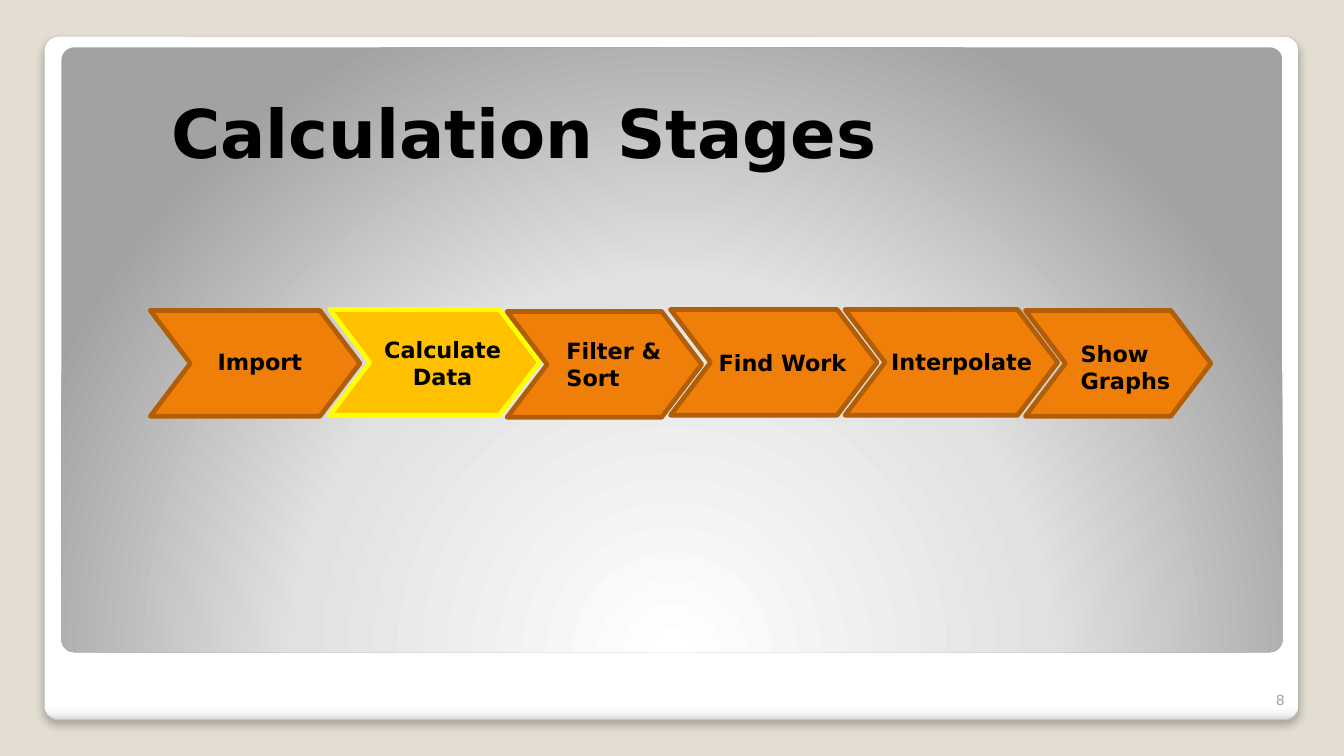
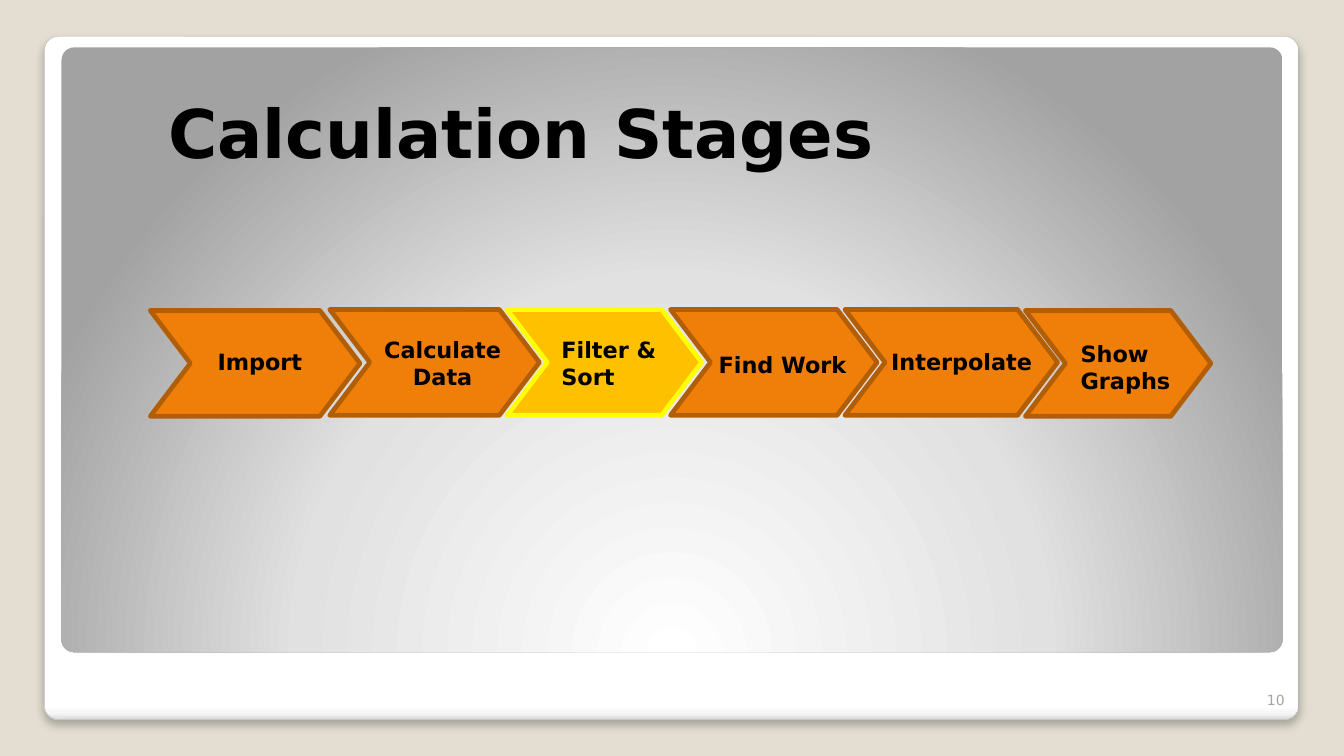
import dataclasses
import typing

import lxml.etree
import pptx
import pptx.dml.color
import pptx.enum.shapes
import pptx.enum.text
import pptx.oxml
import pptx.oxml.ns
import pptx.slide
import pptx.shapes.autoshape
import pptx.text.text
import pptx.util

Inches = pptx.util.Inches
Pt = pptx.util.Pt
RGBColor = pptx.dml.color.RGBColor
Align = pptx.enum.text.PP_ALIGN
Anchor = pptx.enum.text.MSO_ANCHOR
Shape = pptx.enum.shapes.MSO_SHAPE

FONT = "DejaVu Sans"
BACKGROUND = RGBColor(0xE3, 0xDE, 0xD1)
FRAME_LINE = RGBColor(0xA4, 0xA4, 0xA4)
BLACK = RGBColor(0x00, 0x00, 0x00)
WHITE = RGBColor(0xFF, 0xFF, 0xFF)
NUMBER_GREY = RGBColor(0xA8, 0xA4, 0x9B)
ORANGE = RGBColor(0xF0, 0x7F, 0x09)
DARK_ORANGE = RGBColor(0xB2, 0x5E, 0x07)
GOLD = RGBColor(0xFF, 0xC0, 0x00)
YELLOW = RGBColor(0xFF, 0xFF, 0x00)
FRAME_STOPS = (
    (0, WHITE),
    (98, WHITE),
    (99, RGBColor(0xF7, 0xF7, 0xF7)),
    (100, RGBColor(0xDA, 0xDA, 0xDA)),
)
PANEL_STOPS = (
    (0, WHITE),
    (55, RGBColor(0xE1, 0xE1, 0xE1)),
    (100, RGBColor(0xA2, 0xA2, 0xA2)),
)
FRAME_DIRECTION = '<a:lin ang="5400000" scaled="0"/>'
PANEL_DIRECTION = (
    '<a:path path="circle"><a:fillToRect l="50000" t="175000" r="50000" b="-75000"/></a:path>'
)


class Box(typing.NamedTuple):
    left: float
    top: float
    width: float
    height: float

    def lengths(self) -> tuple[int, ...]:
        return tuple(Inches(value) for value in self)


@dataclasses.dataclass(frozen=True)
class TextStyle:
    size: float
    color: RGBColor = BLACK
    bold: bool = True
    alignment: Align = Align.LEFT
    anchor: Anchor = Anchor.TOP


@dataclasses.dataclass(frozen=True)
class Stage:
    lines: tuple[str, ...]
    chevron: Box
    label: Box
    alignment: Align = Align.LEFT


@dataclasses.dataclass(frozen=True)
class StageSlide:
    number: int
    active: str
    title_left: float
    stages: dict[str, Stage]


TITLE_STYLE = TextStyle(48, alignment=Align.CENTER)
NUMBER_STYLE = TextStyle(10, NUMBER_GREY, False, Align.RIGHT, Anchor.BOTTOM)

STAGES = {
    "work": Stage(("Find Work",), Box(6.65, 3.07, 2.05, 1.05), Box(7.03, 3.41, 1.89, 0.37)),
    "interpolate": Stage(
        ("Interpolate",), Box(8.38, 3.07, 2.11, 1.05), Box(8.74, 3.4, 1.89, 0.37)
    ),
    "graphs": Stage(("Show Graphs",), Box(10.17, 3.08, 1.84, 1.05), Box(10.62, 3.33, 1.33, 0.64)),
    "import": Stage(("Import",), Box(1.49, 3.08, 2.08, 1.05), Box(2.06, 3.4, 1.34, 0.37)),
    "calculate": Stage(
        ("Calculate", "Data"),
        Box(3.27, 3.07, 2.08, 1.05),
        Box(3.5, 3.29, 1.78, 0.64),
        Align.CENTER,
    ),
    "filter": Stage(("Filter & Sort",), Box(5.03, 3.09, 1.93, 1.05), Box(5.52, 3.3, 1.23, 0.64)),
}
FILTER_STAGES = STAGES | {
    "work": dataclasses.replace(STAGES["work"], label=Box(7.03, 3.43, 1.89, 0.37)),
    "filter": dataclasses.replace(
        STAGES["filter"],
        chevron=Box(5.03, 3.07, 1.93, 1.05),
        label=Box(5.47, 3.29, 1.23, 0.64),
    ),
}
SLIDES = (
    StageSlide(8, "calculate", 1.4, STAGES),
    StageSlide(10, "filter", 1.37, FILTER_STAGES),
)


def parse_drawing(tag: str, attributes: str, content: str) -> lxml.etree._Element:
    namespace = pptx.oxml.ns.nsdecls("a")
    return pptx.oxml.parse_xml(f"<a:{tag} {namespace} {attributes}>{content}</a:{tag}>")


def add_plain_shape(
    slide: pptx.slide.Slide, kind: Shape, box: Box, adjustment: float
) -> pptx.shapes.autoshape.Shape:
    shape = slide.shapes.add_shape(kind, *box.lengths())
    shape.adjustments[0] = adjustment
    shape.shadow.inherit = False
    return shape


def add_gradient_panel(
    slide: pptx.slide.Slide,
    box: Box,
    stops: tuple[tuple[int, RGBColor], ...],
    direction: str,
) -> pptx.shapes.autoshape.Shape:
    shape = add_plain_shape(slide, Shape.ROUNDED_RECTANGLE, box, 0.021)
    stop_list = "".join(
        f'<a:gs pos="{position * 1000}"><a:srgbClr val="{color}"/></a:gs>'
        for position, color in stops
    )
    gradient = parse_drawing(
        "gradFill", 'rotWithShape="1"', f"<a:gsLst>{stop_list}</a:gsLst>{direction}"
    )
    shape.element.spPr.insert(2, gradient)
    shape.line.fill.background()
    return shape


def add_backdrop(slide: pptx.slide.Slide) -> None:
    frame = add_gradient_panel(slide, Box(0.44, 0.36, 12.44, 6.78), FRAME_STOPS, FRAME_DIRECTION)
    frame.line.color.rgb = FRAME_LINE
    frame.line.width = Pt(0.16)
    shadow = parse_drawing(
        "outerShdw",
        f'blurRad="{Pt(6)}" dist="{Pt(4)}" dir="5400000" algn="t" rotWithShape="0"',
        f'<a:srgbClr val="{BLACK}"><a:alpha val="25000"/></a:srgbClr>',
    )
    frame.element.spPr.find(pptx.oxml.ns.qn("a:effectLst")).append(shadow)
    add_gradient_panel(slide, Box(0.61, 0.47, 12.11, 6), PANEL_STOPS, PANEL_DIRECTION)


def add_text(
    slide: pptx.slide.Slide, box: Box, lines: tuple[str, ...], style: TextStyle
) -> None:
    frame = slide.shapes.add_textbox(*box.lengths()).text_frame
    frame.word_wrap = True
    frame.vertical_anchor = style.anchor
    frame.text = "\n".join(lines)
    for paragraph in frame.paragraphs:
        paragraph.alignment = style.alignment
        paragraph.font.name = FONT
        paragraph.font.size = Pt(style.size)
        paragraph.font.bold = style.bold
        paragraph.font.color.rgb = style.color


def add_stage(slide: pptx.slide.Slide, stage: Stage, active: bool) -> None:
    chevron = add_plain_shape(slide, Shape.CHEVRON, stage.chevron, 0.379)
    chevron.fill.solid()
    chevron.fill.fore_color.rgb = GOLD if active else ORANGE
    chevron.line.color.rgb = YELLOW if active else DARK_ORANGE
    chevron.line.width = Pt(3.35)
    add_text(slide, stage.label, stage.lines, TextStyle(16, alignment=stage.alignment))


def build_slide(presentation: pptx.presentation.Presentation, content: StageSlide) -> None:
    slide = presentation.slides.add_slide(presentation.slide_layouts[6])
    add_backdrop(slide)
    title_box = Box(content.title_left, 0.86, 7.6, 1.21)
    add_text(slide, title_box, ("Calculation Stages",), TITLE_STYLE)
    for name, stage in content.stages.items():
        add_stage(slide, stage, name == content.active)
    add_text(slide, Box(12.17, 6.68, 0.67, 0.4), (str(content.number),), NUMBER_STYLE)


def main() -> None:
    presentation = pptx.Presentation()
    presentation.slide_width = Inches(13.33)
    presentation.slide_height = Inches(7.5)
    background = presentation.slide_master.background.fill
    background.solid()
    background.fore_color.rgb = BACKGROUND
    for content in SLIDES:
        build_slide(presentation, content)
    presentation.save("out.pptx")


if __name__ == "__main__":
    main()
